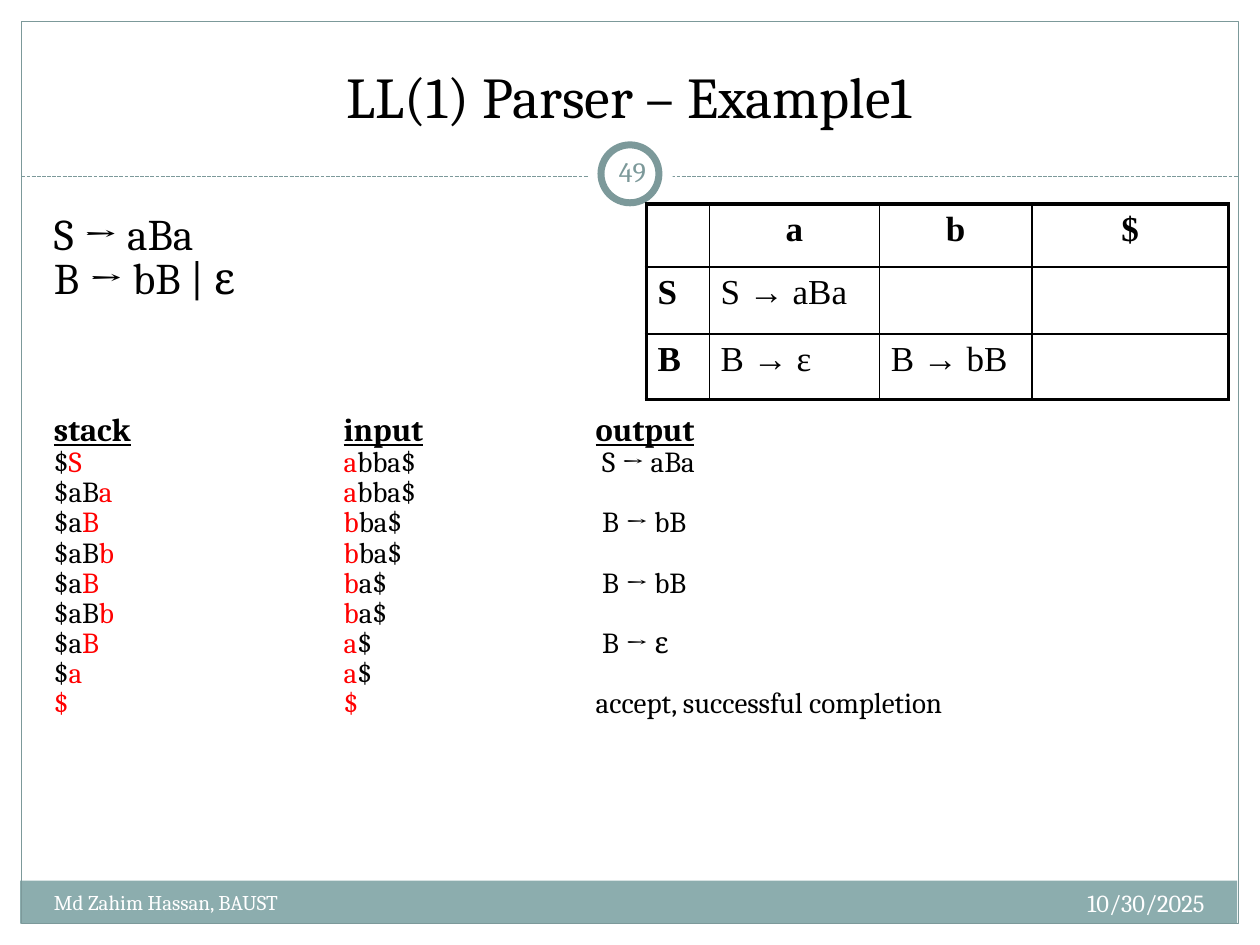
from lxml.etree import SubElement as Sub
from pptx import Presentation
from pptx.dml.color import RGBColor as RGB
from pptx.enum.dml import MSO_LINE as Dash
from pptx.enum.shapes import MSO_CONNECTOR as Conn, MSO_SHAPE as Shape
from pptx.enum.text import MSO_ANCHOR as Anchor, MSO_AUTO_SIZE as Auto, PP_ALIGN as Align
from pptx.oxml.ns import qn
from pptx.util import Inches, Pt

HUES = {"black": "000000", "white": "FFFFFF", "red": "FF0000",
        "teal": "7C999A", "band": "8CADAE"}


def put(par, text, size, hue="black", font="Cambria", bold=False, line=False, align=None):
    """Add one formatted run to a paragraph."""
    run = par.add_run()
    run.text = text
    face = run.font
    face.name, face.size, face.bold, face.underline = font, Pt(size), bold, line
    face.color.rgb = RGB.from_string(HUES[hue])
    if align is not None:
        par.alignment = align


def box(x, y, w, h):
    """Add a wrapping text box and return its frame."""
    frame = slide.shapes.add_textbox(Inches(x), Inches(y), Inches(w), Inches(h)).text_frame
    frame.word_wrap = True
    return frame


prs = Presentation()
prs.slide_width, prs.slide_height = Inches(10), Inches(7.5)
slide = prs.slides.add_slide(prs.slide_layouts[5])

# Title
title = slide.shapes.title
title.left, title.top = Inches(0.33), Inches(0.25)
title.width, title.height = Inches(9.33), Inches(0.83)
frame = title.text_frame
frame.auto_size, frame.vertical_anchor = Auto.NONE, Anchor.BOTTOM
put(frame.paragraphs[0], "LL(1) Parser – Example1", 33, align=Align.CENTER)

# Band, frame, dashed rule and number badge
rule = slide.shapes.add_connector(Conn.STRAIGHT, Inches(0.17), Inches(1.4),
                                  Inches(9.83), Inches(1.4))
rule.line.color.rgb = RGB.from_string(HUES["teal"])
rule.line.width, rule.line.dash_style = Pt(0.75), Dash.SQUARE_DOT
Sub(rule._element.spPr, qn("a:effectLst"))

for kind, x, y, w, h, fill, width in [
    (Shape.RECTANGLE, 0.16, 6.99, 9.66, 0.34, "band", 0),
    (Shape.RECTANGLE, 0.17, 0.17, 9.66, 7.16, None, 0.75),
    (Shape.OVAL, 4.67, 1.05, 0.67, 0.67, "white", 0),
    (Shape.OVAL, 4.77, 1.15, 0.46, 0.46, "white", 4),
]:
    part = slide.shapes.add_shape(kind, Inches(x), Inches(y), Inches(w), Inches(h))
    part.shadow.inherit = False
    if fill:
        part.fill.solid()
        part.fill.fore_color.rgb = RGB.from_string(HUES[fill])
    else:
        part.fill.background()
    if width:
        part.line.color.rgb = RGB.from_string(HUES["teal"])
        part.line.width = Pt(width)
    else:
        part.line.fill.background()

# Footer and slide number
put(box(6.33, 7, 3.33, 0.4).paragraphs[0], "10/30/2025", 14, "white", align=Align.RIGHT)
put(box(0.33, 7.01, 3.92, 0.4).paragraphs[0], "Md Zahim Hassan, BAUST", 12, "white")
badge = box(4.77, 1.12, 0.5, 0.48)
badge.margin_left = badge.margin_right = Inches(0.05)
badge.vertical_anchor = Anchor.MIDDLE
put(badge.paragraphs[0], "49", 16, "teal", align=Align.CENTER)

# Grammar
grammar = box(0.33, 1.67, 4.5, 0.9)
for i, text in enumerate(["S → aBa", "B → bB | ε"]):
    par = grammar.add_paragraph() if i else grammar.paragraphs[0]
    par.line_spacing, par.space_before = 0.8, Pt(1.3 if i else 0)
    put(par, text, 25)

# Parse trace: the top of the stack and the next input symbol are red
steps = [
    ("$S", "abba$", " S → aBa"),
    ("$aBa", "abba$", ""),
    ("$aB", "bba$", " B → bB"),
    ("$aBb", "bba$", ""),
    ("$aB", "ba$", " B → bB"),
    ("$aBb", "ba$", ""),
    ("$aB", "a$", " B → ε"),
    ("$a", "a$", ""),
    ("$", "$", "accept, successful completion"),
]
trace = box(0.33, 3.26, 9.3, 2.9)
for i in range(len(steps) + 1):
    par = trace.add_paragraph() if i else trace.paragraphs[0]
    tabs = Sub(par._p.get_or_add_pPr(), qn("a:tabLst"))
    for stop in (2.3, 4.3):
        Sub(tabs, qn("a:tab"), pos=str(Inches(stop)), algn="l")
    par.line_spacing, par.space_before = 0.8, Pt(1.3 if i else 0)
    if i == 0:
        for j, head in enumerate(["stack", "input", "output"]):
            if j:
                put(par, "\t", 18.5)
            put(par, head, 18.5, bold=True, line=True)
        continue
    stack, feed, out = steps[i - 1]
    rest = feed[1:] + ("\t" + out if out else "")
    for text, hue in [(stack[:-1], "black"), (stack[-1] + "\t" + feed[0], "red"),
                      (rest, "black")]:
        if text:
            put(par, text, 16.6, hue)

# Parsing table
cells = [["", "a", "b", "$"],
         ["S", "S → aBa", "", ""],
         ["B", "B → ε", "B → bB", ""]]
table = slide.shapes.add_table(3, 4, Inches(5.13), Inches(1.62),
                               Inches(4.62), Inches(1.55)).table
table.first_row = table.horz_banding = False
for col, w in zip(table.columns, (0.5, 1.35, 1.21, 1.56)):
    col.width = Inches(w)
for row, h in zip(table.rows, (0.5, 0.53, 0.52)):
    row.height = Inches(h)
for r, texts in enumerate(cells):
    for c, text in enumerate(texts):
        cell = table.cell(r, c)
        cell.margin_left = cell.margin_right = Inches(0.09)
        props = cell._tc.get_or_add_tcPr()
        edges = {"L": c == 0, "R": c == 3, "T": r == 0, "B": r == 2}
        for side, outer in edges.items():
            edge = Sub(props, qn("a:ln" + side), w=str(Pt(2.25 if outer else 1)))
            Sub(Sub(edge, qn("a:solidFill")), qn("a:srgbClr"), val=HUES["black"])
        cell.fill.background()
        if text:
            put(cell.text_frame.paragraphs[0], text, 20, font="Times New Roman",
                bold=r == 0 or c == 0, align=Align.CENTER if r == 0 else Align.LEFT)

prs.save("out.pptx")
